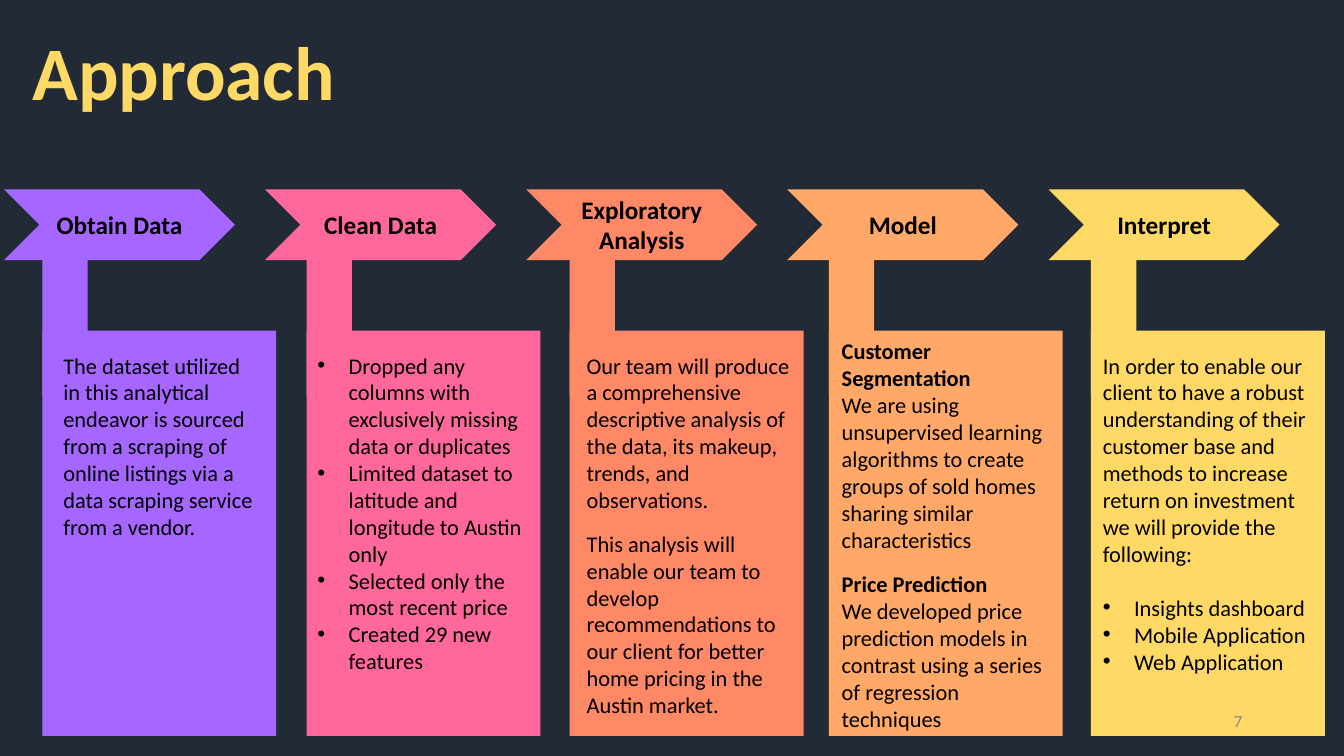
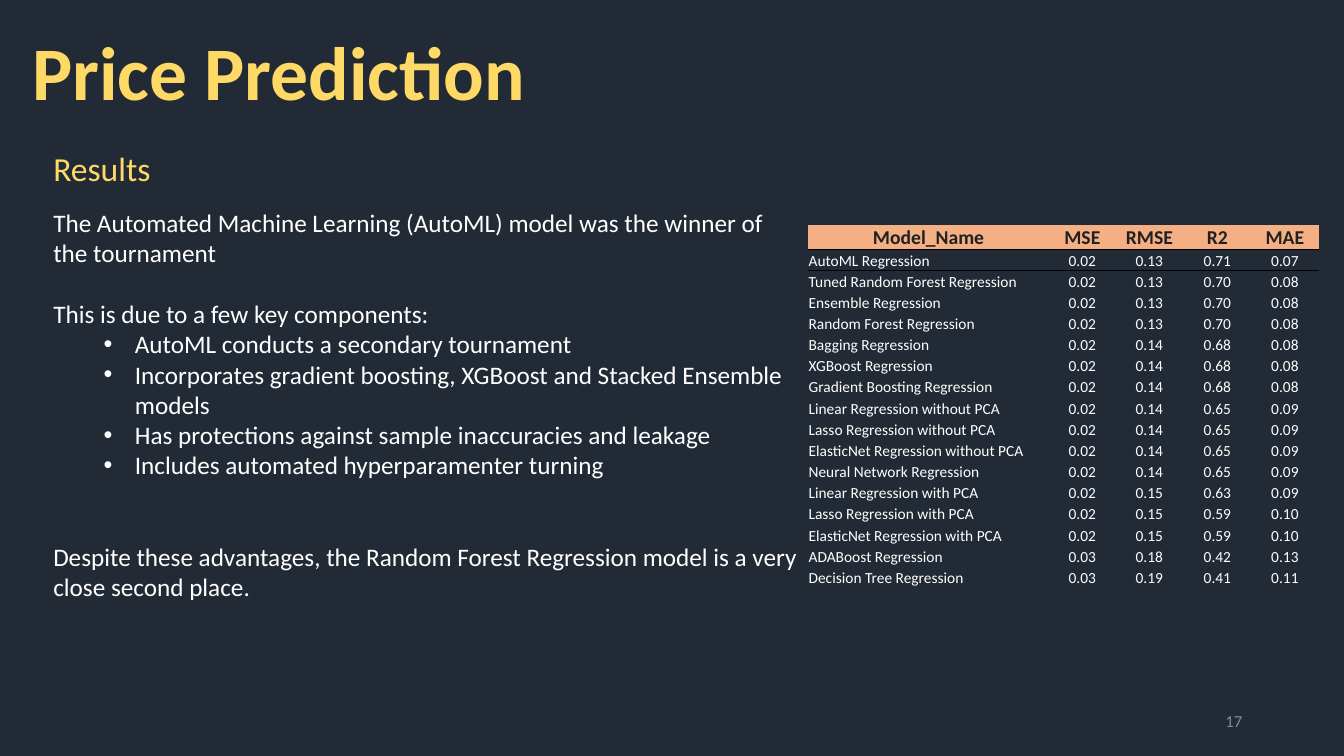
from dataclasses import dataclass

from lxml import etree
from pptx import Presentation
from pptx.dml.color import RGBColor
from pptx.enum import shapes, text
from pptx.oxml import ns
from pptx.util import Inches, Pt

FONT = "Calibri"
NAVY = RGBColor(0x22, 0x2A, 0x35)
YELLOW = RGBColor(0xFF, 0xD9, 0x66)
PURPLE = RGBColor(0xA5, 0x67, 0xFF)
PINK = RGBColor(0xFF, 0x67, 0x9D)
CORAL = RGBColor(0xFF, 0x88, 0x67)
ORANGE = RGBColor(0xFF, 0xA8, 0x67)
PEACH = RGBColor(0xF4, 0xB0, 0x84)
CHARCOAL = RGBColor(0x21, 0x21, 0x21)
GRAY = RGBColor(0x88, 0x88, 0x88)
BLACK = RGBColor(0, 0, 0)
WHITE = RGBColor(0xFF, 0xFF, 0xFF)

NO_STYLE = "{2D5ABB26-0587-4C30-8999-92F81FD0307C}"


@dataclass
class Para:
    """One paragraph: its words, space before in points, and format values."""

    words: str
    before: float = 0
    margin: float = 0
    bullet: bool = False
    size: float = 16
    color: RGBColor = BLACK
    bold: bool = False
    align: text.PP_ALIGN = text.PP_ALIGN.LEFT


@dataclass
class Step:
    """One column of the approach: header, colour, card and its text."""

    name: str
    color: RGBColor
    left: float
    text_left: float
    text_width: float
    paras: list
    text_top: float = 3.44


STEPS = [
    Step("Obtain Data", PURPLE, 0.42, 0.53, 2.09, [
        Para("The dataset utilized in this analytical endeavor is sourced from a scraping of "
             "online listings via a data scraping service from a vendor."),
    ]),
    Step("Clean Data", PINK, 3.04, 3.05, 2.31, [
        Para(words, margin=0.31, bullet=True) for words in (
            "Dropped any columns with exclusively missing data or duplicates",
            "Limited dataset to latitude and longitude to Austin only",
            "Selected only the most recent price",
            "Created 29 new features",
        )
    ]),
    Step("Exploratory Analysis", CORAL, 5.65, 5.72, 2.25, [
        Para("Our team will produce a comprehensive descriptive analysis of the data, "
             "its makeup, trends, and observations."),
        Para("This analysis will enable our team to develop recommendations to our client "
             "for better home pricing in the Austin market.", before=12.2),
    ]),
    Step("Model", ORANGE, 8.22, 8.25, 2.32, [
        Para("Customer Segmentation", bold=True),
        Para("We are using unsupervised learning algorithms to create groups of sold homes "
             "sharing similar characteristics"),
        Para("Price Prediction", before=12.8, bold=True),
        Para("We developed price prediction models in contrast using a series of "
             "regression techniques"),
    ], text_top=3.3),
    Step("Interpret", YELLOW, 10.82, 10.84, 2.31, [
        Para("In order to enable our client to have a robust understanding of their customer "
             "base and methods to increase return on investment we will provide the following:"),
        Para("Insights dashboard", before=19.5, margin=0.31, bullet=True),
        Para("Mobile Application", margin=0.31, bullet=True),
        Para("Web Application", margin=0.31, bullet=True),
    ]),
]

WHITE_18 = {"size": 18, "color": WHITE}
RESULTS = [
    Para("Results", size=24, color=YELLOW),
    Para("The Automated Machine Learning (AutoML) model was the winner of the tournament",
         before=13.4, **WHITE_18),
    Para("This is due to a few key components:", before=22, **WHITE_18),
    *(Para(words, margin=0.81, bullet=True, **WHITE_18) for words in (
        "AutoML conducts a secondary tournament",
        "Incorporates gradient boosting, XGBoost and Stacked Ensemble models",
        "Has protections against sample inaccuracies and leakage",
        "Includes automated hyperparamenter turning",
    )),
    Para("Despite these advantages, the Random Forest Regression model is a very close "
         "second place.", before=44, **WHITE_18),
]

SCORES = [
    ("Model_Name", "MSE", "RMSE", "R2", "MAE"),
    ("AutoML Regression", "0.02", "0.13", "0.71", "0.07"),
    ("Tuned Random Forest Regression", "0.02", "0.13", "0.70", "0.08"),
    ("Ensemble Regression", "0.02", "0.13", "0.70", "0.08"),
    ("Random Forest Regression", "0.02", "0.13", "0.70", "0.08"),
    ("Bagging Regression", "0.02", "0.14", "0.68", "0.08"),
    ("XGBoost Regression", "0.02", "0.14", "0.68", "0.08"),
    ("Gradient Boosting Regression", "0.02", "0.14", "0.68", "0.08"),
    ("Linear Regression without PCA", "0.02", "0.14", "0.65", "0.09"),
    ("Lasso Regression without PCA", "0.02", "0.14", "0.65", "0.09"),
    ("ElasticNet Regression without PCA", "0.02", "0.14", "0.65", "0.09"),
    ("Neural Network Regression", "0.02", "0.14", "0.65", "0.09"),
    ("Linear Regression with PCA", "0.02", "0.15", "0.63", "0.09"),
    ("Lasso Regression with PCA", "0.02", "0.15", "0.59", "0.10"),
    ("ElasticNet Regression with PCA", "0.02", "0.15", "0.59", "0.10"),
    ("ADABoost Regression", "0.03", "0.18", "0.42", "0.13"),
    ("Decision Tree Regression", "0.03", "0.19", "0.41", "0.11"),
]
COLUMN_WIDTHS = (2.4, 0.65, 0.68, 0.67, 0.67)


def set_all(obj, values):
    """Set each attribute of obj named in values."""
    for name, value in values.items():
        setattr(obj, name, value)


def add_bullet(p, para):
    """Give a paragraph a hanging bullet in its text colour."""
    pPr = p._p.get_or_add_pPr()
    pPr.set("marL", str(Inches(para.margin)))
    pPr.set("indent", str(-Inches(0.31)))
    color = etree.SubElement(pPr, ns.qn("a:buClr"))
    etree.SubElement(color, ns.qn("a:srgbClr"), val=str(para.color))
    etree.SubElement(pPr, ns.qn("a:buFont"), typeface="Arial")
    etree.SubElement(pPr, ns.qn("a:buChar"), char="•")


def write(tf, paras, anchor=text.MSO_ANCHOR.TOP):
    """Fill a text frame with paragraphs."""
    set_all(tf, {"word_wrap": True, "auto_size": text.MSO_AUTO_SIZE.NONE,
                 "vertical_anchor": anchor})
    for i, para in enumerate(paras):
        p = tf.add_paragraph() if i else tf.paragraphs[0]
        if para.bullet:
            add_bullet(p, para)
        set_all(p, {"alignment": para.align, "space_before": Pt(para.before)})
        r = p.add_run()
        r.text = para.words
        set_all(r.font, {"name": FONT, "size": Pt(para.size), "bold": para.bold})
        r.font.color.rgb = para.color


def add_text(s, box, paras, **kwargs):
    """Add a wrapped text box."""
    sp = s.shapes.add_textbox(*map(Inches, box))
    write(sp.text_frame, paras, **kwargs)


def add_block(s, kind, box, color):
    """Add a plain filled shape without line or shadow."""
    sp = s.shapes.add_shape(kind, *map(Inches, box))
    sp.shadow.inherit = False
    sp.fill.solid()
    sp.fill.fore_color.rgb = color
    sp.line.fill.background()
    return sp


def add_slide(prs, title, number):
    """Add a slide with its title and page number."""
    s = prs.slides.add_slide(prs.slide_layouts[5])
    sp = s.shapes.title
    set_all(sp, {"left": Inches(0.22), "top": Inches(0.2),
                 "width": Inches(7.8), "height": Inches(1.01)})
    write(sp.text_frame, [Para(title, size=54, color=YELLOW, bold=True)])
    return s, lambda: add_text(
        s, (9.42, 6.95, 3, 0.4),
        [Para(str(number), size=12, color=GRAY, align=text.PP_ALIGN.RIGHT)],
        anchor=text.MSO_ANCHOR.MIDDLE)


def add_step(s, i, step):
    """Add a chevron header joined by a stem to its text card."""
    kind = shapes.MSO_SHAPE
    chevron = add_block(s, kind.CHEVRON, (0.04 + 2.59 * i, 1.88, 2.29, 0.7), step.color)
    write(chevron.text_frame,
          [Para(step.name, size=18, bold=True, align=text.PP_ALIGN.CENTER)],
          anchor=text.MSO_ANCHOR.MIDDLE)
    add_block(s, kind.RECTANGLE, (step.left, 2.57, 0.45, 1.35), step.color)
    add_block(s, kind.RECTANGLE, (step.left, 3.28, 2.32, 4.02), step.color)
    add_text(s, (step.text_left, step.text_top, step.text_width, 3.86), step.paras)


def add_rule(cell, edge):
    """Draw a thin black border on one edge of a cell."""
    ln = etree.Element(ns.qn(f"a:{edge}"), w=str(Pt(0.75)))
    fill = etree.SubElement(ln, ns.qn("a:solidFill"))
    etree.SubElement(fill, ns.qn("a:srgbClr"), val=str(BLACK))
    cell._tc.get_or_add_tcPr().insert(0, ln)


def format_cell(cell, words, row, column):
    """Write and format one cell of the score table."""
    head = row == 0
    edge = Inches(0.01)
    set_all(cell, {"margin_left": edge, "margin_right": edge, "margin_top": edge,
                   "margin_bottom": 0, "vertical_anchor": text.MSO_ANCHOR.MIDDLE})
    centred = head or column > 0
    p = cell.text_frame.paragraphs[0]
    p.alignment = text.PP_ALIGN.CENTER if centred else text.PP_ALIGN.LEFT
    r = p.add_run()
    r.text = words
    set_all(r.font, {"name": FONT, "size": Pt(14 if head else 11), "bold": head})
    r.font.color.rgb = CHARCOAL if head else WHITE
    if head:
        cell.fill.solid()
        cell.fill.fore_color.rgb = PEACH
    else:
        cell.fill.background()
    if row < 2:
        add_rule(cell, "lnB" if head else "lnT")


def add_scores(s):
    """Add the table of model scores."""
    box = (8.01, 2.23, sum(COLUMN_WIDTHS), 0.21 * len(SCORES))
    table = s.shapes.add_table(len(SCORES), len(COLUMN_WIDTHS), *map(Inches, box)).table
    set_all(table, {"first_row": False, "horz_banding": False})
    table._tbl.tblPr.find(ns.qn("a:tableStyleId")).text = NO_STYLE
    for column, width in zip(table.columns, COLUMN_WIDTHS):
        column.width = Inches(width)
    for i, row in enumerate(SCORES):
        for j, words in enumerate(row):
            format_cell(table.cell(i, j), words, i, j)


def main():
    """Build both slides and save the deck."""
    prs = Presentation()
    set_all(prs, {"slide_width": Inches(13.33), "slide_height": Inches(7.5)})
    fill = prs.slide_master.background.fill
    fill.solid()
    fill.fore_color.rgb = NAVY

    s, add_number = add_slide(prs, "Approach", 7)
    for i, step in enumerate(STEPS):
        add_step(s, i, step)
    add_number()

    s, add_number = add_slide(prs, "Price Prediction", 17)
    add_text(s, (0.43, 1.42, 7.58, 4.93), RESULTS)
    add_scores(s)
    add_number()

    prs.save("out.pptx")


if __name__ == "__main__":
    main()
